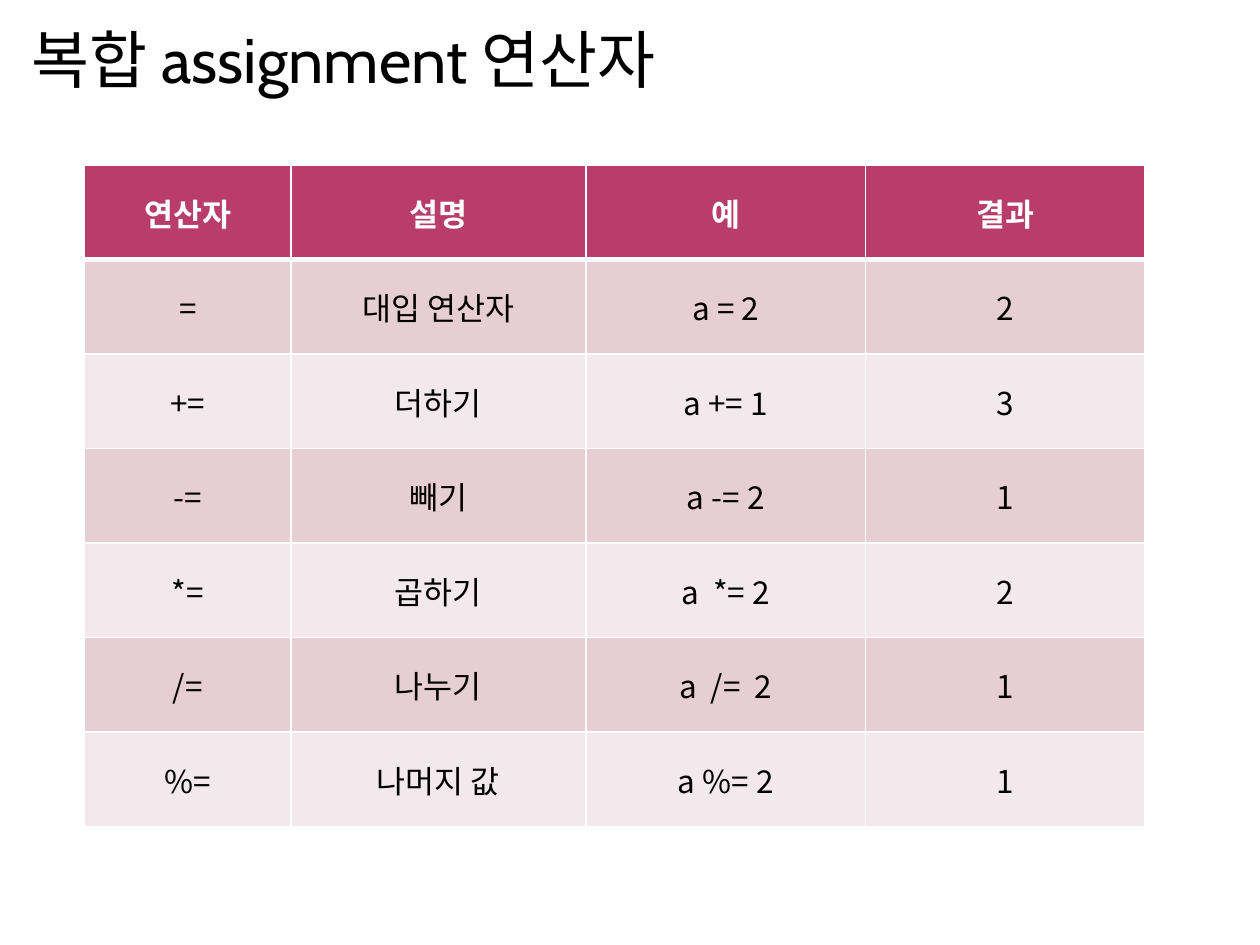
import pptx
import pptx.dml.color
import pptx.enum.text
import pptx.oxml
import pptx.oxml.ns
import pptx.util
from dataclasses import dataclass

Inches = pptx.util.Inches


@dataclass(frozen=True)
class Theme:
    title_font: str = "Cabin"
    table_font: str = "Noto Sans CJK KR"
    title_size: int = 36
    table_size: int = 18
    ink: str = "000000"
    paper: str = "FFFFFF"
    header: str = "B83D68"
    bands: tuple = ("E6CED4", "F3E8EB")
    rule: float = 1
    header_rule: float = 3


THEME = Theme()
TITLE = "복합 assignment 연산자"
COLUMN_WIDTHS = (1.64, 2.34, 2.22, 2.22)
ROW_HEIGHT = 0.75
OPERATORS = (
    ("연산자", "설명", "예", "결과"),
    ("=", "대입 연산자", "a = 2", "2"),
    ("+=", "더하기", "a += 1", "3"),
    ("-=", "빼기", "a -= 2", "1"),
    ("*=", "곱하기", "a  *= 2", "2"),
    ("/=", "나누기", "a  /=  2", "1"),
    ("%=", "나머지 값", "a %= 2", "1"),
)


def rgb(value):
    return pptx.dml.color.RGBColor.from_string(value)


def format_text(frame, font, size, color, align, bold=False):
    frame.vertical_anchor = pptx.enum.text.MSO_ANCHOR.MIDDLE
    for paragraph in frame.paragraphs:
        paragraph.alignment = align
        for run in paragraph.runs:
            run.font.name = font
            run.font.size = pptx.util.Pt(size)
            run.font.bold = bold
            run.font.color.rgb = rgb(color)
            east_asian = pptx.oxml.parse_xml(
                f'<a:ea {pptx.oxml.ns.nsdecls("a")} typeface="{THEME.table_font}"/>'
            )
            run.font._element.find(pptx.oxml.ns.qn("a:latin")).addnext(east_asian)


def add_title(slide):
    title = slide.shapes.title
    title.left, title.top = Inches(0.15), Inches(0.12)
    title.width, title.height = Inches(9), Inches(0.69)
    title.text_frame.text = TITLE
    format_text(title.text_frame, THEME.title_font, THEME.title_size,
                THEME.ink, pptx.enum.text.PP_ALIGN.LEFT)


def set_borders(cell, top, bottom):
    widths = {"lnL": THEME.rule, "lnR": THEME.rule, "lnT": top, "lnB": bottom}
    properties = cell._tc.get_or_add_tcPr()
    for position, (side, width) in enumerate(widths.items()):
        border = pptx.oxml.parse_xml(
            f'<a:{side} {pptx.oxml.ns.nsdecls("a")} w="{pptx.util.Pt(width)}">'
            f'<a:solidFill><a:srgbClr val="{THEME.paper}"/></a:solidFill></a:{side}>'
        )
        properties.insert(position, border)


def fill_cell(cell, text, row):
    is_header = row == 0
    cell.text_frame.text = text
    cell.vertical_anchor = pptx.enum.text.MSO_ANCHOR.MIDDLE
    format_text(cell.text_frame, THEME.table_font, THEME.table_size,
                THEME.paper if is_header else THEME.ink,
                pptx.enum.text.PP_ALIGN.CENTER, is_header)
    cell.fill.solid()
    cell.fill.fore_color.rgb = rgb(THEME.header if is_header else THEME.bands[(row - 1) % 2])
    set_borders(cell,
                top=THEME.header_rule if row == 1 else THEME.rule,
                bottom=THEME.header_rule if is_header else THEME.rule)


def add_operator_table(slide):
    operators = slide.shapes.add_table(
        len(OPERATORS), len(COLUMN_WIDTHS), Inches(0.67), Inches(1.31),
        Inches(sum(COLUMN_WIDTHS)), Inches(ROW_HEIGHT * len(OPERATORS)),
    ).table
    for column, width in zip(operators.columns, COLUMN_WIDTHS):
        column.width = Inches(width)
    for row, texts in enumerate(OPERATORS):
        operators.rows[row].height = Inches(ROW_HEIGHT)
        for column, text in enumerate(texts):
            fill_cell(operators.cell(row, column), text, row)


def main():
    presentation = pptx.Presentation()
    presentation.slide_width, presentation.slide_height = Inches(10), Inches(7.5)
    slide = presentation.slides.add_slide(presentation.slide_layouts[5])
    add_title(slide)
    add_operator_table(slide)
    presentation.save("out.pptx")


if __name__ == "__main__":
    main()
